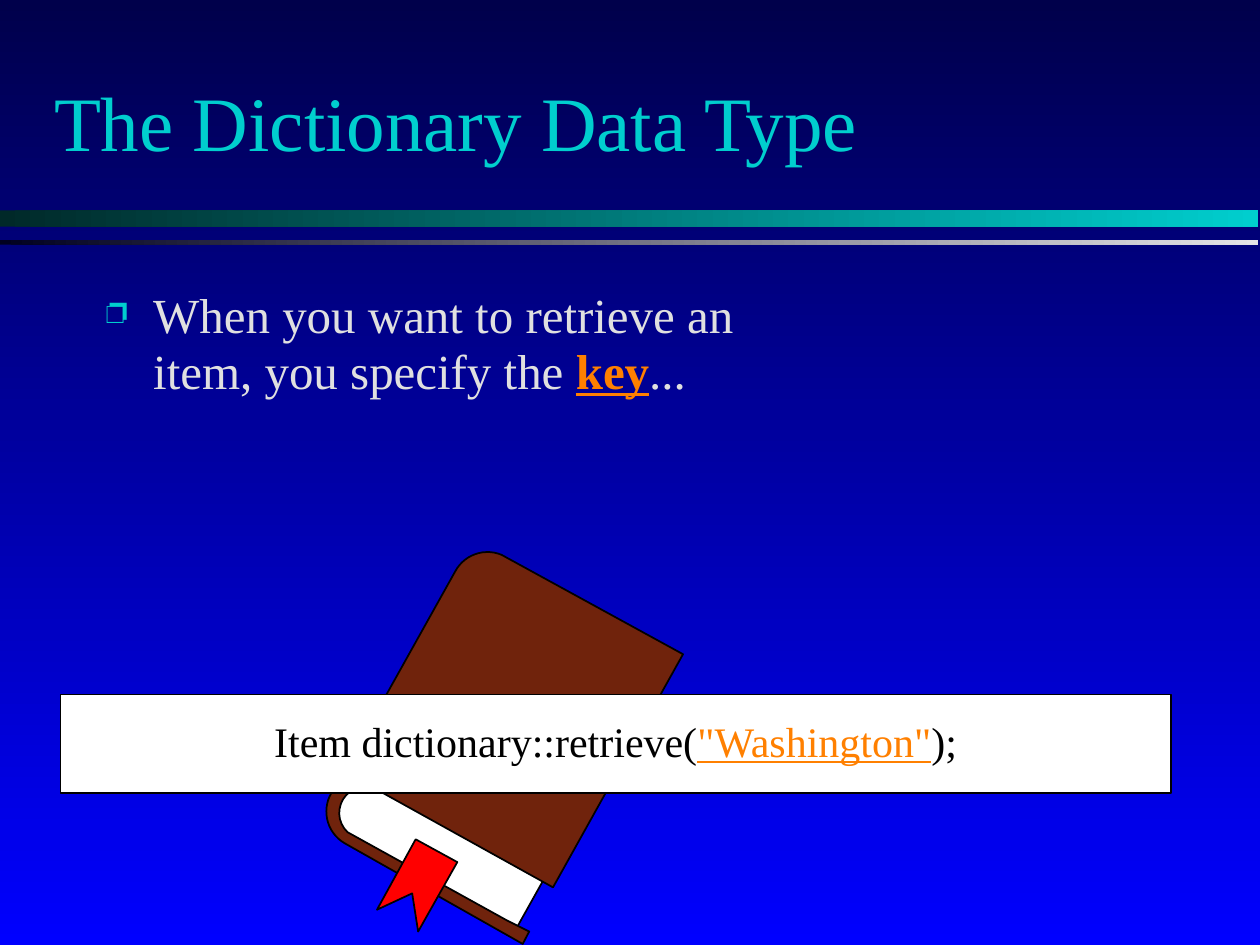
from dataclasses import dataclass
from math import cos, radians, sin

from lxml.etree import SubElement
from pptx import Presentation
from pptx.dml.color import RGBColor as RGB
from pptx.enum.shapes import MSO_SHAPE as Shape
from pptx.enum.text import MSO_ANCHOR as Anchor, PP_ALIGN as Align
from pptx.oxml.ns import qn
from pptx.util import Cm, Pt


@dataclass(frozen=True)
class Theme:
    font: str = "Times New Roman"
    title_size: int = 44
    body_size: int = 28
    code_size: int = 24
    navy: str = "00004B"
    blue: str = "0000FF"
    teal: str = "00CECE"
    dark_teal: str = "002929"
    silver: str = "E4E4E7"
    midnight: str = "000020"
    body: str = "E0E0E0"
    accent: str = "FF8000"
    black: str = "000000"
    white: str = "FFFFFF"
    leather: str = "70230C"
    ribbon: str = "FF0000"


THEME = Theme()


def rgb(color):
    return RGB.from_string(color)


def fill_gradient(fill, start, end, angle):
    fill.gradient()
    fill.gradient_angle = angle
    for stop, color in zip(fill.gradient_stops, (start, end)):
        stop.color.rgb = rgb(color)


def paint(sp, color):
    """Give a shape a solid fill and a thin black outline."""
    sp.shadow.inherit = False
    sp.fill.solid()
    sp.fill.fore_color.rgb = rgb(color)
    sp.line.color.rgb = rgb(THEME.black)
    sp.line.width = Pt(1)


def write(sp, runs, size, color, align=Align.LEFT, anchor=Anchor.TOP, spacing=0.95):
    """Fill a shape with one paragraph of (text, font overrides) runs."""
    tf = sp.text_frame
    tf.word_wrap = True
    tf.vertical_anchor = anchor
    p = tf.paragraphs[0]
    p.alignment = align
    p.line_spacing = spacing
    for text, style in runs:
        r = p.add_run()
        r.text = text
        r.font.name = THEME.font
        r.font.size = Pt(size)
        r.font.bold = style.get("bold", False)
        r.font.underline = style.get("underline", False)
        r.font.color.rgb = rgb(style.get("color", color))
    return p


def add_bullet(p, char, color, percent, indent):
    pPr = p._p.get_or_add_pPr()
    pPr.set("marL", str(indent))
    pPr.set("indent", str(-indent))
    SubElement(SubElement(pPr, qn("a:buClr")), qn("a:srgbClr")).set("val", color)
    SubElement(pPr, qn("a:buSzPct")).set("val", str(percent * 1000))
    SubElement(pPr, qn("a:buChar")).set("char", char)


def arc(cx, cy, radius, start, end, steps=14):
    """Points along a circle, with angles in degrees clockwise from the right."""
    angles = [radians(start + (end - start) * i / steps) for i in range(steps + 1)]
    return [(cx + radius * cos(a), cy + radius * sin(a)) for a in angles]


def add_outline(s, left, top, points, color):
    points = [(Cm(left + x), Cm(top + y)) for x, y in points]
    builder = s.shapes.build_freeform(*points[0], scale=1.0)
    builder.add_line_segments(points[1:], close=True)
    paint(builder.convert_to_shape(), color)


def add_divider(s, left, top, width):
    bars = [
        (0, 0.33, THEME.dark_teal, THEME.teal),
        (0.59, 0.1, THEME.midnight, THEME.silver),
    ]
    for offset, height, start, end in bars:
        sp = s.shapes.add_shape(
            Shape.ROUNDED_RECTANGLE, Cm(left), Cm(top + offset), Cm(width), Cm(height)
        )
        sp.adjustments[0] = 0.01
        sp.shadow.inherit = False
        sp.line.fill.background()
        fill_gradient(sp.fill, start, end, 0)


def add_title(s, left, top, width, height):
    tb = s.shapes.add_textbox(Cm(left), Cm(top), Cm(width), Cm(height))
    runs = [("The Dictionary Data Type", {})]
    write(tb, runs, THEME.title_size, THEME.teal, anchor=Anchor.MIDDLE)


def add_body(s, left, top, width, height):
    tb = s.shapes.add_textbox(Cm(left), Cm(top), Cm(width), Cm(height))
    runs = [
        ("When you want to retrieve an item, you specify the ", {}),
        ("key", {"color": THEME.accent, "bold": True, "underline": True}),
        ("...", {}),
    ]
    p = write(tb, runs, THEME.body_size, THEME.body)
    p.space_before = Pt(7)
    add_bullet(p, "❐", THEME.teal, 75, Cm(0.94))


def add_book(s, left, top):
    pages = arc(0.76, 5.21, 0.61, 299, 119) + [(3.81, 7.62), (4.42, 6.53)]
    cover = (
        arc(3.25, 0.74, 0.74, 208, 292)
        + [(7.19, 2.06), (4.57, 6.76)]
        + arc(0.79, 5.26, 0.53, 289, 133)
        + [(3.63, 7.42), (4.09, 7.65), (3.96, 7.9)]
        + arc(0.74, 5.23, 0.74, 120, 205)
    )
    ribbon = [(1.8, 5.79), (1.02, 7.21), (1.73, 6.88), (1.85, 7.65), (2.64, 6.25)]
    parts = [(pages, THEME.white), (cover, THEME.leather), (ribbon, THEME.ribbon)]
    for points, color in parts:
        add_outline(s, left, top, points, color)


def add_code_panel(s, left, top, width, height):
    sp = s.shapes.add_shape(
        Shape.ROUNDED_RECTANGLE, Cm(left), Cm(top), Cm(width), Cm(height)
    )
    sp.adjustments[0] = 0
    paint(sp, THEME.white)
    runs = [
        ("Item dictionary::retrieve(", {}),
        ('"Washington"', {"color": THEME.accent, "underline": True}),
        (");", {}),
    ]
    write(sp, runs, THEME.code_size, THEME.black, Align.CENTER, Anchor.MIDDLE, 0.93)


def main():
    prs = Presentation()
    prs.slide_width, prs.slide_height = Cm(25.4), Cm(19.05)
    s = prs.slides.add_slide(prs.slide_layouts[6])
    fill_gradient(s.background.fill, THEME.navy, THEME.blue, 270)
    add_divider(s, 0, 4.24, 25.37)
    add_title(s, 0.84, 0.94, 21.59, 3.18)
    add_body(s, 1.9, 5.69, 13.16, 10.11)
    add_book(s, 6.58, 11.13)
    add_code_panel(s, 1.22, 14, 22.38, 1.98)
    prs.save("out.pptx")


if __name__ == "__main__":
    main()
